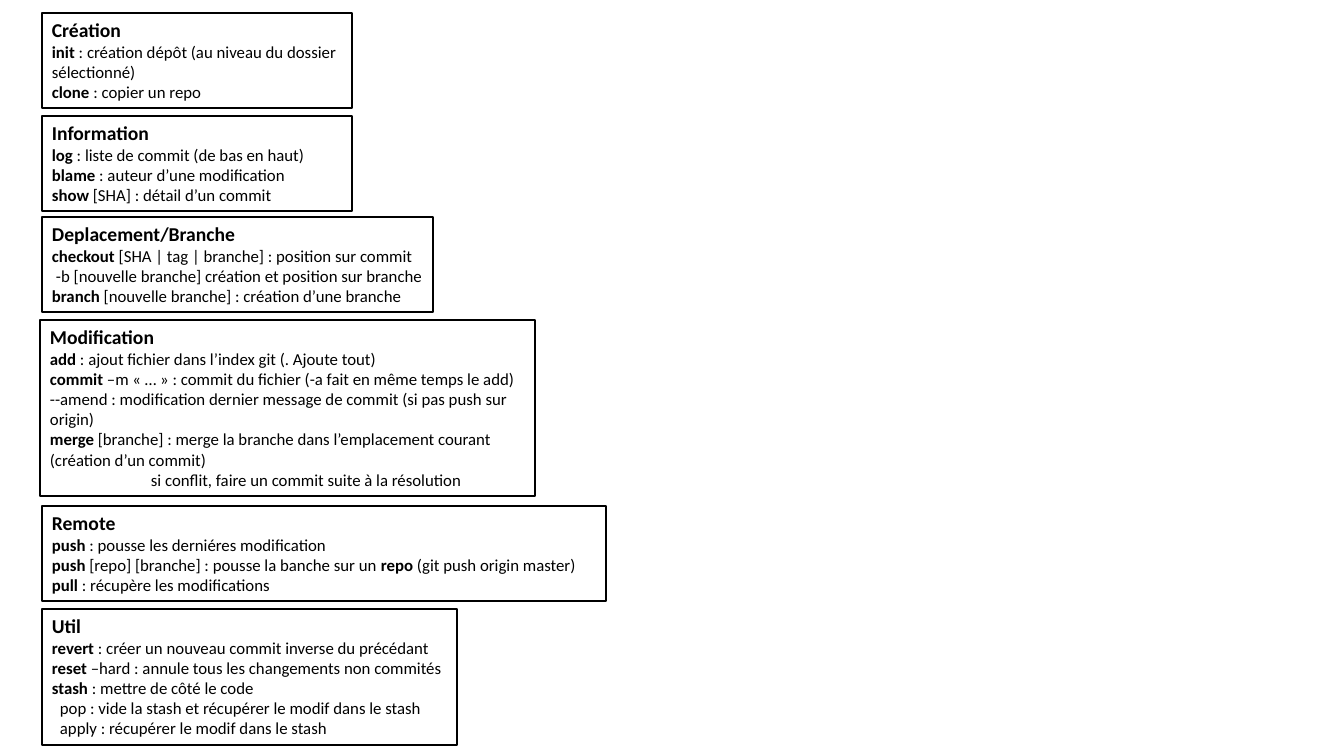
from pptx import Presentation
from pptx.dml.color import RGBColor
from pptx.enum.text import MSO_AUTO_SIZE, PP_ALIGN
from pptx.util import Emu, Pt

COLORS = {"paper": "FFFFFF", "ink": "000000"}
FRAME = {"word_wrap": True, "auto_size": MSO_AUTO_SIZE.SHAPE_TO_FIT_TEXT}
FONT = {"name": "Calibri"}
HEAD, BODY = Pt(14), Pt(12)
BOXES = [
    ("Création", (42, 13, 310, 95), [
        (0, "*init* : création dépôt (au niveau du dossier sélectionné)"),
        (0, "*clone* : copier un repo"),
    ]),
    ("Information", (42, 116, 310, 95), [
        (0, "*log* : liste de commit (de bas en haut)"),
        (0, "*blame* : auteur d’une modification"),
        (0, "*show* [SHA] : détail d’un commit"),
    ]),
    ("Deplacement/Branche", (42, 217, 391, 95), [
        (0, "*checkout* [SHA | tag | branche] : position sur commit"),
        (4, "-b [nouvelle branche] création et position sur branche"),
        (0, "*branch* [nouvelle branche] : création d’une branche"),
    ]),
    ("Modification", (40, 320, 495, 176), [
        (0, "*add* : ajout fichier dans l’index git (. Ajoute tout)"),
        (0, "*commit* –m « … » : commit du fichier (-a fait en même temps le add)"),
        (0, "--amend : modification dernier message de commit (si pas push sur origin)"),
        (0, "*merge* [branche] : merge la branche dans l’emplacement courant (création d’un commit)"),
        (101, "si conflit, faire un commit suite à la résolution"),
    ]),
    ("Remote", (42, 506, 564, 95), [
        (0, "*push* : pousse les derniéres modification"),
        (0, "*push* [repo] [branche] : pousse la banche sur un *repo* (git push origin master)"),
        (0, "*pull* : récupère les modifications"),
    ]),
    ("Util", (42, 609, 415, 136), [
        (0, "*revert* : créer un nouveau commit inverse du précédant"),
        (0, "*reset* –hard : annule tous les changements non commités"),
        (0, "*stash* : mettre de côté le code"),
        (8, "pop : vide la stash et récupérer le modif dans le stash"),
        (8, "apply : récupérer le modif dans le stash"),
    ]),
]


def px(size):
    return Emu(round(size * 914400 / 100.8))


def color(name):
    return RGBColor.from_string(COLORS[name])


deck = Presentation()
deck.slide_width, deck.slide_height = px(1344), px(756)
slide = deck.slides.add_slide(deck.slide_layouts[6])

for title, place, notes in BOXES:
    box = slide.shapes.add_textbox(*map(px, place))
    box.fill.solid()
    box.fill.fore_color.rgb = color("paper")
    box.line.color.rgb = color("ink")
    box.line.width = Pt(1)
    frame = box.text_frame
    for key, value in FRAME.items():
        setattr(frame, key, value)

    lines = [(0, f"*{title}*", HEAD)] + [(left, text, BODY) for left, text in notes]
    for row, (left, text, size) in enumerate(lines):
        para = frame.add_paragraph() if row else frame.paragraphs[0]
        para.alignment = PP_ALIGN.LEFT
        if left:
            para._p.get_or_add_pPr().set("marL", str(px(left)))
        text = text.replace(" :", "\u00a0:").replace("« … »", "«\u00a0…\u00a0»")
        for part, words in enumerate(text.split("*")):
            if words:
                run = para.add_run()
                run.text = words
                run.font.color.rgb = color("ink")
                style = {**FONT, "size": size, "bold": part % 2 == 1}
                for key, value in style.items():
                    setattr(run.font, key, value)

deck.save("out.pptx")
